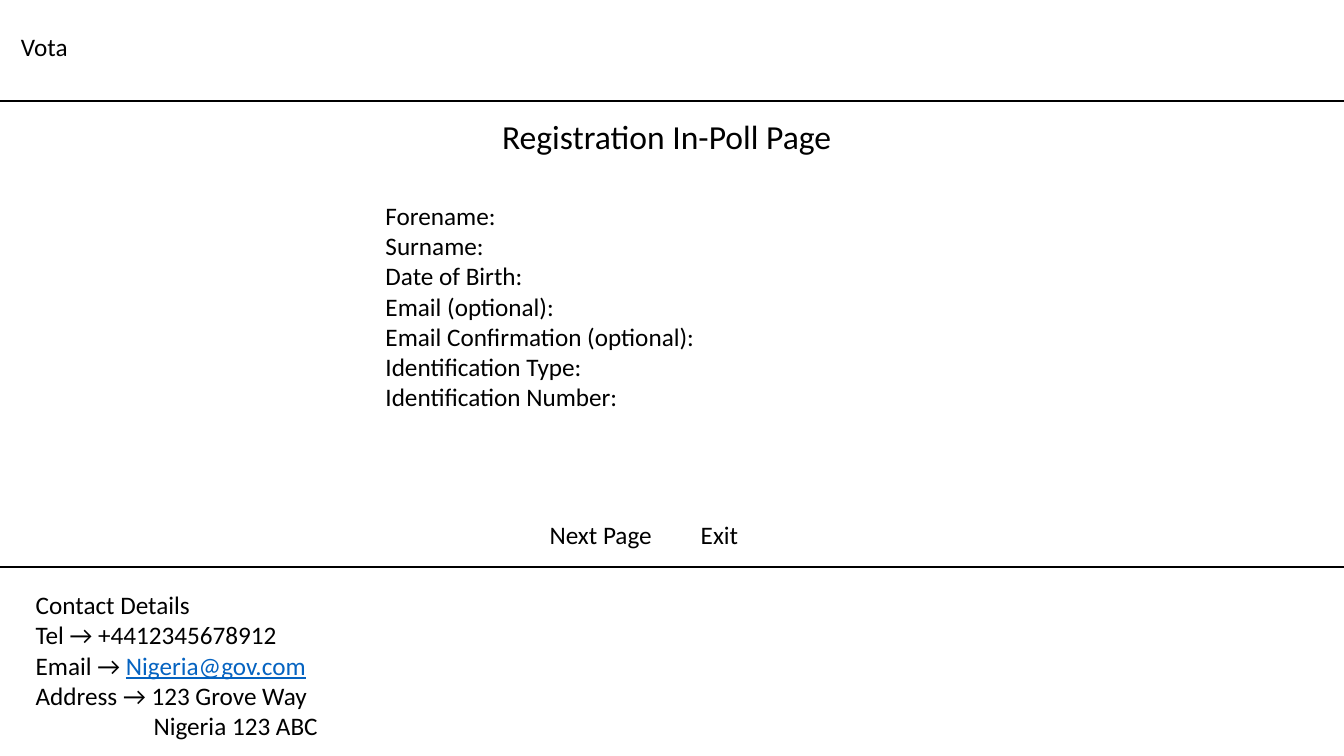
from lxml import etree
from pptx import Presentation
from pptx import util as u
from pptx.dml.color import RGBColor
from pptx.enum import shapes, text
from pptx.oxml import ns

HUES = {"ink": "000000", "link": "0563C1"}
FRAME = {
    "word_wrap": True,
    "auto_size": text.MSO_AUTO_SIZE.NONE,
    "vertical_anchor": text.MSO_ANCHOR.TOP,
}
PARA = {"alignment": text.PP_ALIGN.LEFT, "space_before": u.Pt(0), "line_spacing": 1.0}


def apply(item, form):
    for key, val in form.items():
        setattr(item, key, val)


class Page:
    def __init__(self, deck, font="Calibri"):
        self.deck = deck
        self.font = font
        self.slide = deck.slides.add_slide(deck.slide_layouts[1])

    def fill(self, shape, box, lines, size=18, indents=None, tab=None):
        apply(shape, dict(zip(("left", "top", "width", "height"), map(u.Cm, box))))
        frame = shape.text_frame
        apply(frame, FRAME)
        for row, line in enumerate(lines):
            para = frame.paragraphs[0] if row == 0 else frame.add_paragraph()
            apply(para, PARA)
            props = para._p.get_or_add_pPr()
            props.set("marL", str(u.Cm((indents or {}).get(row, 0))))
            props.set("indent", "0")
            etree.SubElement(props, ns.qn("a:buNone"))
            if tab:
                stops = etree.SubElement(props, ns.qn("a:tabLst"))
                etree.SubElement(stops, ns.qn("a:tab"), pos=str(u.Cm(tab)), algn="l")
            for words, hue in [(line, "ink")] if isinstance(line, str) else line:
                run = para.add_run()
                run.text = words
                apply(run.font, {"name": self.font, "size": u.Pt(size),
                                 "underline": hue == "link"})
                run.font.color.rgb = RGBColor.from_string(HUES[hue])

    def title(self, box, words, size):
        self.fill(self.slide.shapes.title, box, [words], size)

    def body(self, box, lines):
        self.fill(self.slide.placeholders[1], box, lines)

    def label(self, box, lines, **form):
        shape = self.slide.shapes.add_textbox(*map(u.Cm, box))
        self.fill(shape, box, lines, **form)

    def rule(self, top):
        line = self.slide.shapes.add_connector(
            shapes.MSO_CONNECTOR.STRAIGHT, 0, u.Cm(top), self.deck.slide_width, u.Cm(top))
        line.line.width = u.Pt(1.5)
        line.line.color.rgb = RGBColor.from_string(HUES["ink"])
        etree.SubElement(line._element.spPr, ns.qn("a:effectLst"))


def main():
    deck = Presentation()
    apply(deck, {"slide_width": u.Cm(33.87), "slide_height": u.Cm(19.05)})
    page = Page(deck)
    page.label((0.28, 0.66, 14.7, 1.03), ["Vota"])
    for top in (2.54, 14.28):
        page.rule(top)
    page.title((12.4, 2.8, 9.07, 1.28), "Registration In-Poll Page", 24)
    page.body((9.46, 4.92, 14.94, 5.64), [
        "Forename:",
        "Surname:",
        "Date of Birth:",
        "Email (optional):",
        "Email Confirmation (optional):",
        "Identification Type:",
        "Identification Number:",
    ])
    page.label((13.6, 12.95, 6.65, 1.03), ["Next Page\tExit"], tab=5.08)
    page.label((0.65, 14.73, 14.07, 4.1), [
        "Contact Details",
        "Tel → +4412345678912",
        [("Email → ", "ink"), ("Nigeria@gov.com", "link")],
        "Address → 123 Grove Way",
        "Nigeria 123 ABC",
    ], indents={4: 2.97})
    deck.save("out.pptx")


if __name__ == "__main__":
    main()
